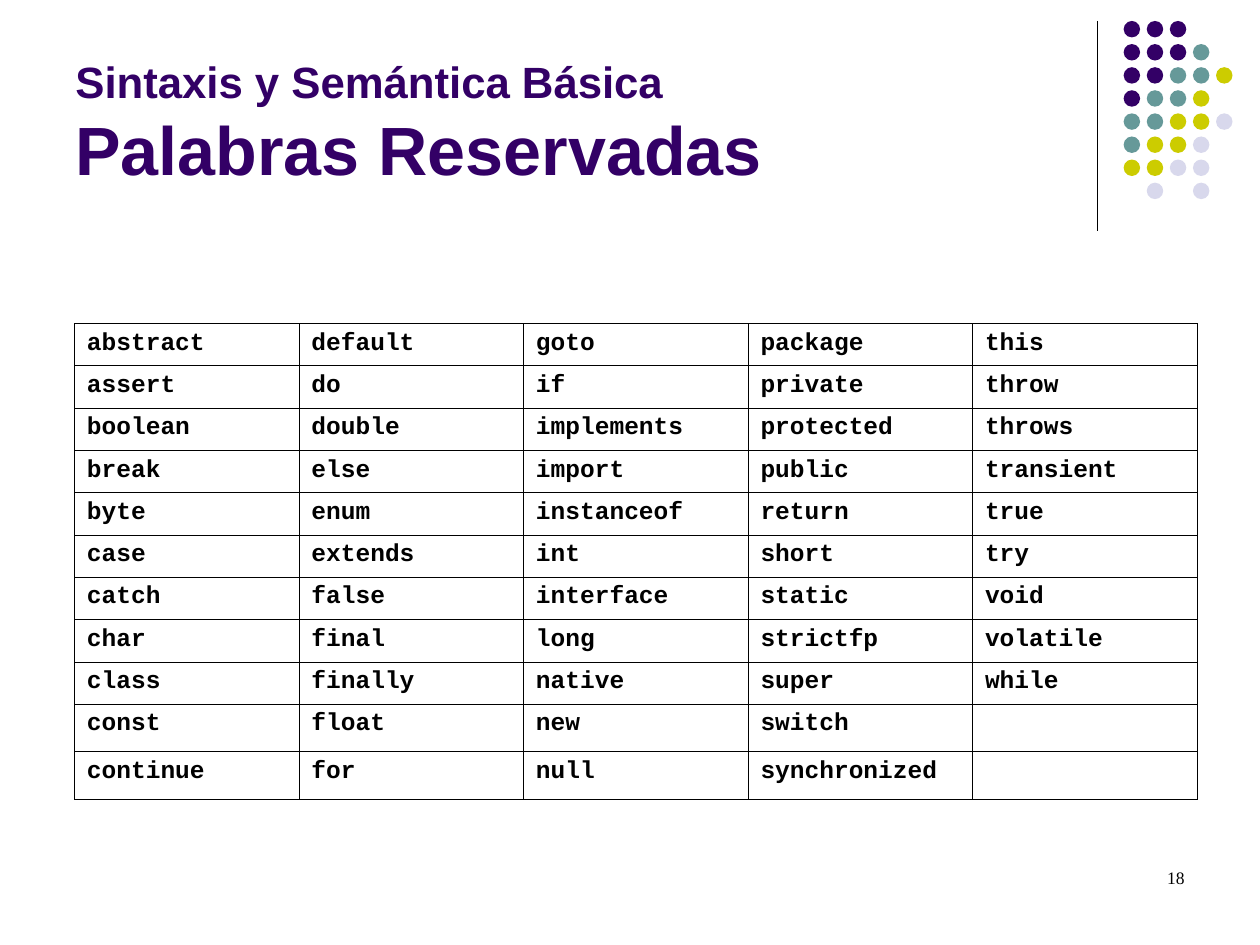
import pptx
import pptx.dml.color
import pptx.enum.shapes
import pptx.enum.text
import pptx.oxml
import pptx.oxml.ns
import pptx.util

Pt = pptx.util.Pt
RGBColor = pptx.dml.color.RGBColor

PURPLE = RGBColor(0x33, 0x00, 0x66)
TEAL = RGBColor(0x66, 0x99, 0x99)
OLIVE = RGBColor(0xCC, 0xCC, 0x00)
LAVENDER = RGBColor(0xD8, 0xD8, 0xEC)
BLACK = RGBColor(0x00, 0x00, 0x00)

DOT_COLORS = {"P": PURPLE, "T": TEAL, "O": OLIVE, "L": LAVENDER}
DOT_ROWS = ["PPP", "PPPT", "PPTTO", "PTTO", "TTOOL", "TOOL", "OOLL", " L L"]
DOT_PITCH = 13.2
DOT_SIZE = 9.4

# One string for each column of the table
KEYWORD_COLUMNS = [
    "abstract assert boolean break byte case catch char class const continue",
    "default do double else enum extends false final finally float for",
    "goto if implements import instanceof int interface long native new null",
    "package private protected public return short static strictfp super switch synchronized",
    "this throw throws transient true try void volatile while",
]
ROW_HEIGHTS = [24.2] * 9 + [27.2] * 2


def add_text_box(slide, left, top, width, height):
    text_frame = slide.shapes.add_textbox(Pt(left), Pt(top), Pt(width), Pt(height)).text_frame
    text_frame.word_wrap = True
    return text_frame


def style_font(font, name, color, size=None, bold=False):
    font.name = name
    font.color.rgb = color
    font.bold = bold
    if size:
        font.size = Pt(size)


def add_ornament(slide, left, top, height):
    # Vertical rule
    rule = slide.shapes.add_connector(
        pptx.enum.shapes.MSO_CONNECTOR.STRAIGHT, Pt(left), Pt(top), Pt(left), Pt(top + height))
    rule.line.color.rgb = BLACK
    rule.line.width = Pt(0.75)
    rule._element.spPr.append(pptx.oxml.parse_xml(
        f'<a:effectLst {pptx.oxml.ns.nsdecls("a")}/>'))

    # Grid of dots beside the rule
    group = slide.shapes.add_group_shape()
    for row, letters in enumerate(DOT_ROWS):
        for column, letter in enumerate(letters):
            if letter not in DOT_COLORS:
                continue
            dot = group.shapes.add_shape(
                pptx.enum.shapes.MSO_SHAPE.OVAL,
                Pt(left + 15.1 + column * DOT_PITCH), Pt(top + row * DOT_PITCH),
                Pt(DOT_SIZE), Pt(DOT_SIZE))
            dot.fill.solid()
            dot.fill.fore_color.rgb = DOT_COLORS[letter]
            dot.line.fill.background()
            dot.shadow.inherit = False


def add_title(slide, left, top, width, height):
    text_frame = add_text_box(slide, left, top, width, height)
    text_frame.vertical_anchor = pptx.enum.text.MSO_ANCHOR.BOTTOM
    paragraph = text_frame.paragraphs[0]
    style_font(paragraph.font, "Arial", PURPLE, bold=True)
    topic = paragraph.add_run()
    topic.text = "Sintaxis y Semántica Básica"
    topic.font.size = Pt(25)
    paragraph.add_line_break()
    heading = paragraph.add_run()
    heading.text = "Palabras Reservadas"
    heading.font.size = Pt(39)


def add_cell_borders(cell):
    properties = cell._tc.get_or_add_tcPr()
    for side in ("lnL", "lnR", "lnT", "lnB"):
        properties.append(pptx.oxml.parse_xml(
            f'<a:{side} {pptx.oxml.ns.nsdecls("a")} w="{Pt(0.45)}">'
            f'<a:solidFill><a:srgbClr val="{BLACK}"/></a:solidFill></a:{side}>'))


def add_keyword_table(slide, left, top, width):
    frame = slide.shapes.add_table(
        len(ROW_HEIGHTS), len(KEYWORD_COLUMNS),
        Pt(left), Pt(top), Pt(width), Pt(sum(ROW_HEIGHTS)))
    table = frame.table
    table.first_row = False
    table.horz_banding = False
    for row, height in zip(table.rows, ROW_HEIGHTS):
        row.height = Pt(height)
    for column, keywords in enumerate(KEYWORD_COLUMNS):
        table.columns[column].width = Pt(width / len(KEYWORD_COLUMNS))
        words = keywords.split()
        for row in range(len(ROW_HEIGHTS)):
            cell = table.cell(row, column)
            add_cell_borders(cell)
            cell.fill.background()
            if row < len(words):
                cell.text = words[row]
            style_font(cell.text_frame.paragraphs[0].font, "Courier New", BLACK, 14, True)


def add_slide_number(slide, left, top, width, height):
    paragraph = add_text_box(slide, left, top, width, height).paragraphs[0]
    paragraph.text = "18"
    paragraph.alignment = pptx.enum.text.PP_ALIGN.RIGHT
    style_font(paragraph.font, "Times New Roman", BLACK, 10)


def main():
    presentation = pptx.Presentation()
    presentation.slide_width = Pt(720)
    presentation.slide_height = Pt(540)
    slide = presentation.slides.add_slide(presentation.slide_layouts[6])
    add_ornament(slide, 627, 12, 120)
    add_title(slide, 36, 9.4, 594, 102.2)
    add_keyword_table(slide, 42.5, 184.8, 641.5)
    add_slide_number(slide, 516, 492, 168, 36)
    presentation.save("out.pptx")


if __name__ == "__main__":
    main()
